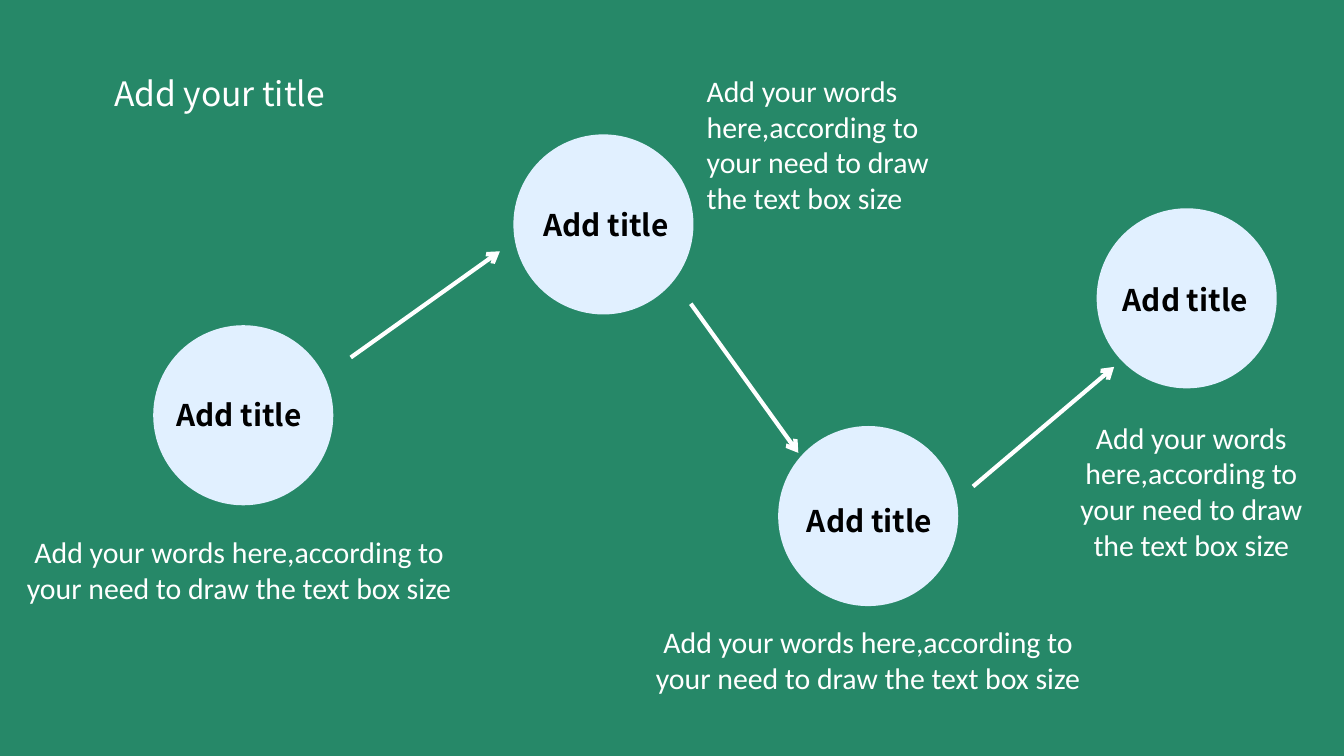
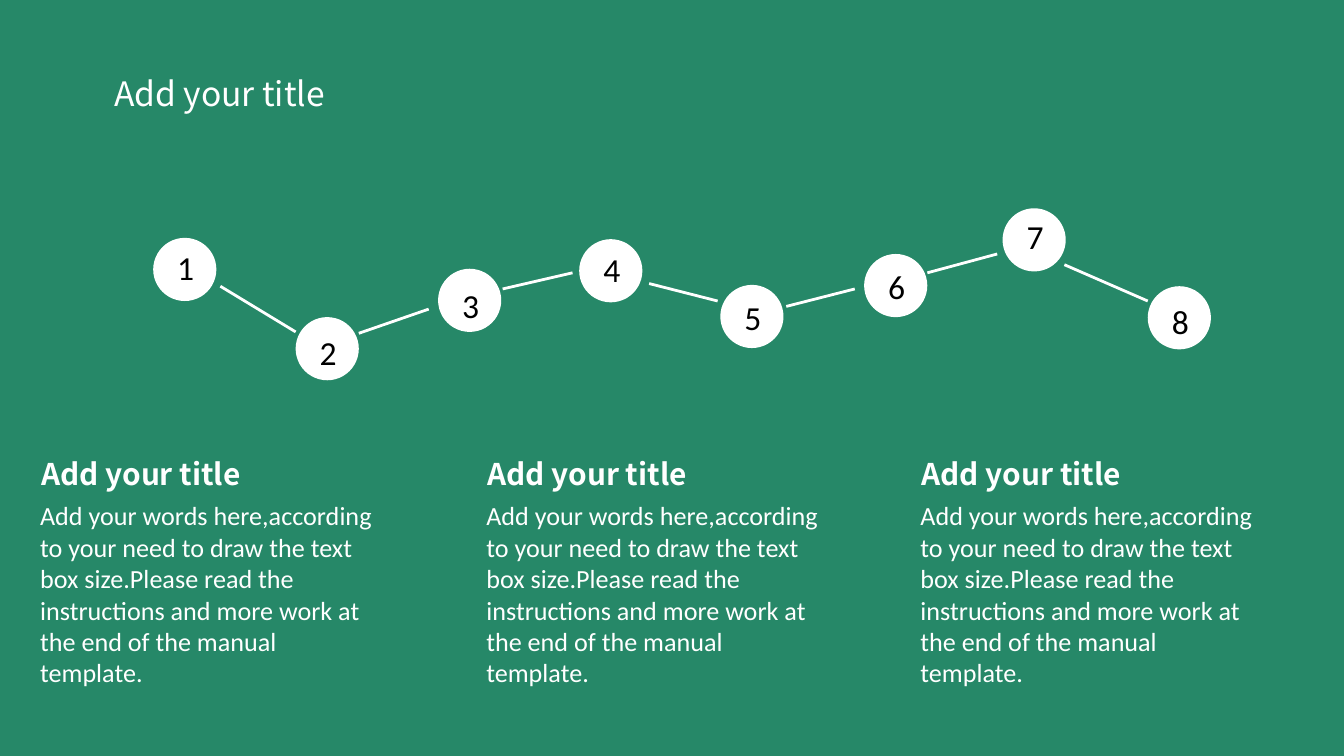
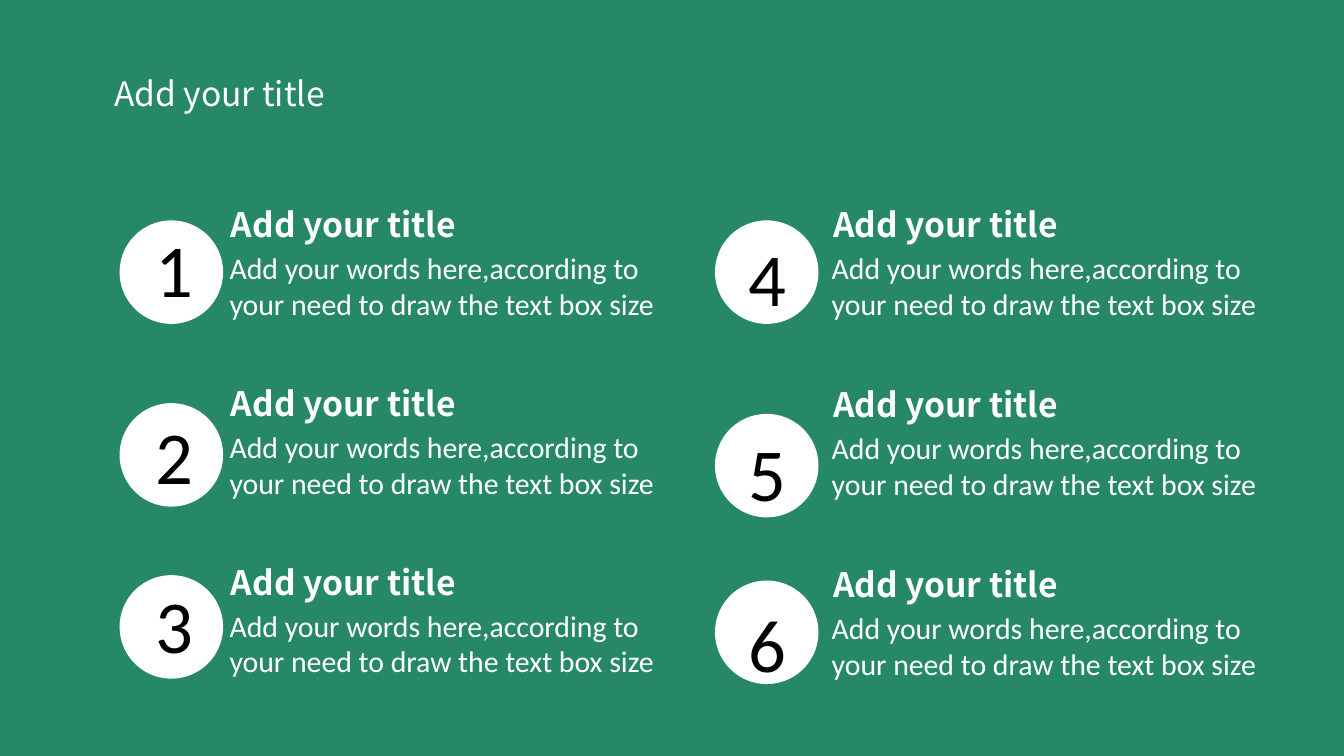
from lxml.etree import SubElement
from pptx import Presentation
from pptx.dml.color import RGBColor
from pptx.enum.shapes import MSO_CONNECTOR, MSO_SHAPE
from pptx.enum.text import MSO_AUTO_SIZE, PP_ALIGN
from pptx.oxml.ns import qn
from pptx.util import Inches, Pt

COLOURS = {"ground": "268868", "pale": "E1F0FF", "white": "FFFFFF", "ink": "000000"}
HEAD_FONT = "Noto Sans CJK SC"
BODY_FONT = "Calibri"
TITLE = "Add your title"
WORDS = "Add your words here,according to your need to draw the text box size"
LONG_WORDS = WORDS + ".Please read the instructions and more work at the end of the manual template."


def colour(name):
    return RGBColor.from_string(COLOURS[name])


def add_text(shapes, box, text, size, font=BODY_FONT, ink="white",
             bold=False, align=PP_ALIGN.LEFT, wrap=True):
    """Add one run of text in a box given as left, top, width, height."""
    frame = shapes.add_textbox(*map(Inches, box)).text_frame
    frame.word_wrap = wrap
    frame.auto_size = MSO_AUTO_SIZE.SHAPE_TO_FIT_TEXT
    para = frame.paragraphs[0]
    para.alignment = align
    span = para.add_run()
    span.text = text
    span.font.name = font
    span.font.size = Pt(size)
    span.font.bold = bold
    span.font.color.rgb = colour(ink)


def add_circle(shapes, left, top, size, fill):
    circle = shapes.add_shape(MSO_SHAPE.OVAL, *map(Inches, (left, top, size, size)))
    circle.shadow.inherit = False
    circle.fill.solid()
    circle.fill.fore_color.rgb = colour(fill)
    circle.line.fill.background()


def add_link(shapes, ends, width, arrow=False):
    """Join two points, given as x1, y1, x2, y2."""
    link = shapes.add_connector(MSO_CONNECTOR.STRAIGHT, *map(Inches, ends))
    link.line.width = Pt(width)
    link.line.color.rgb = colour("white")
    properties = link.element.spPr
    if arrow:
        SubElement(properties.find(qn("a:ln")), qn("a:tailEnd"), type="arrow")
    SubElement(properties, qn("a:effectLst"))


def add_caption(shapes, box, words, heading_size, words_size, words_drop):
    """Group a bold heading with the words below it."""
    left, top, width, height = box
    group = shapes.add_group_shape().shapes
    words_box = (left - 0.01, top + words_drop, width, height - words_drop)
    add_text(group, words_box, words, words_size)
    add_text(group, (left, top, 2.28, 0.4), TITLE, heading_size, HEAD_FONT, bold=True)


def add_page(deck):
    page = deck.slides.add_slide(deck.slide_layouts[6])
    page.background.fill.solid()
    page.background.fill.fore_color.rgb = colour("ground")
    add_text(page.shapes, (0.75, 0.49, 1.98, 0.4), TITLE, 18, HEAD_FONT)
    return page.shapes


def add_step(shapes, left, top, label_shift, words_box, words_align):
    """Add a titled circle and its words; label_shift is measured from the circle."""
    add_circle(shapes, left, top, 1.34, "pale")
    across, down = label_shift
    add_text(shapes, (left + across, top + down, 1.4, 0.37), "Add title", 16,
             HEAD_FONT, "ink", bold=True, align=PP_ALIGN.CENTER)
    add_text(shapes, words_box, WORDS, 16, align=words_align)


def build_steps(deck):
    shapes = add_page(deck)
    centre, left = PP_ALIGN.CENTER, PP_ALIGN.LEFT
    steps = [
        (1.14, 2.42, (-0.06, 0.48), (0.04, 3.92, 3.48, 0.64), centre),
        (3.82, 1.00, (-0.01, 0.49), (5.16, 0.49, 1.97, 1.18), left),
        (5.79, 3.17, (-0.02, 0.52), (4.69, 4.59, 3.54, 0.64), centre),
        (8.16, 1.55, (-0.04, 0.50), (7.88, 3.07, 1.97, 1.18), centre),
    ]
    for step in steps:
        add_step(shapes, *step)
    for ends in [(2.61, 2.66, 3.72, 1.87), (5.14, 2.26, 5.94, 3.37), (7.24, 3.62, 8.29, 2.73)]:
        add_link(shapes, ends, 2.25, arrow=True)


def build_timeline(deck):
    shapes = add_page(deck)
    # left, top, drop of the number inside its circle
    stops = [(1.14, 1.77, 0.02), (2.2, 2.36, 0.06), (3.26, 2, 0.07), (4.31, 1.78, 0.02),
             (5.36, 2.12, 0.04), (6.43, 1.89, 0.04), (7.46, 1.55, 0.01), (8.54, 2.13, 0.06)]
    for number, (left, top, drop) in enumerate(stops, start=1):
        add_circle(shapes, left, top, 0.47, "white")
        add_text(shapes, (left + 0.08, top + drop, 0.31, 0.4), str(number), 18, ink="ink")
    links = [(1.64, 2.13, 2.2, 2.47), (2.67, 2.48, 3.19, 2.3), (3.74, 2.15, 4.26, 2.03),
             (4.83, 2.11, 5.34, 2.24), (5.85, 2.28, 6.36, 2.15), (6.9, 2.03, 7.42, 1.89),
             (7.92, 1.97, 8.54, 2.24)]
    for ends in links:
        add_link(shapes, ends, 1.5)
    for left in (0.21, 3.53, 6.76):
        add_caption(shapes, (left, 3.34, 2.75, 1.61), LONG_WORDS, 16, 14, 0.33)


def build_list(deck):
    shapes = add_page(deck)
    # circle left, number shift, caption left, caption pitch, (circle top, number drop)
    columns = [
        (0.89, 0.17, 1.62, 1.33, [(1.64, -0.03), (3, 0), (4.28, -0.02)]),
        (5.32, 0.15, 6.1, 1.34, [(1.64, 0.04), (3.08, 0.05), (4.32, 0.08)]),
    ]
    number = 0
    for left, shift, caption_left, pitch, rows in columns:
        for row, (top, drop) in enumerate(rows):
            number += 1
            add_circle(shapes, left, top, 0.77, "white")
            caption_box = (caption_left, 1.47 + row * pitch, 3.45, 0.98)
            add_caption(shapes, caption_box, WORDS, 18, 16, 0.34)
            add_text(shapes, (left + shift, top + drop, 0.49, 0.77), str(number), 40,
                     ink="ink", wrap=False)


def main():
    deck = Presentation()
    deck.slide_width = Inches(10)
    deck.slide_height = deck.slide_width * 9 // 16
    build_steps(deck)
    build_timeline(deck)
    build_list(deck)
    deck.save("out.pptx")


if __name__ == "__main__":
    main()
